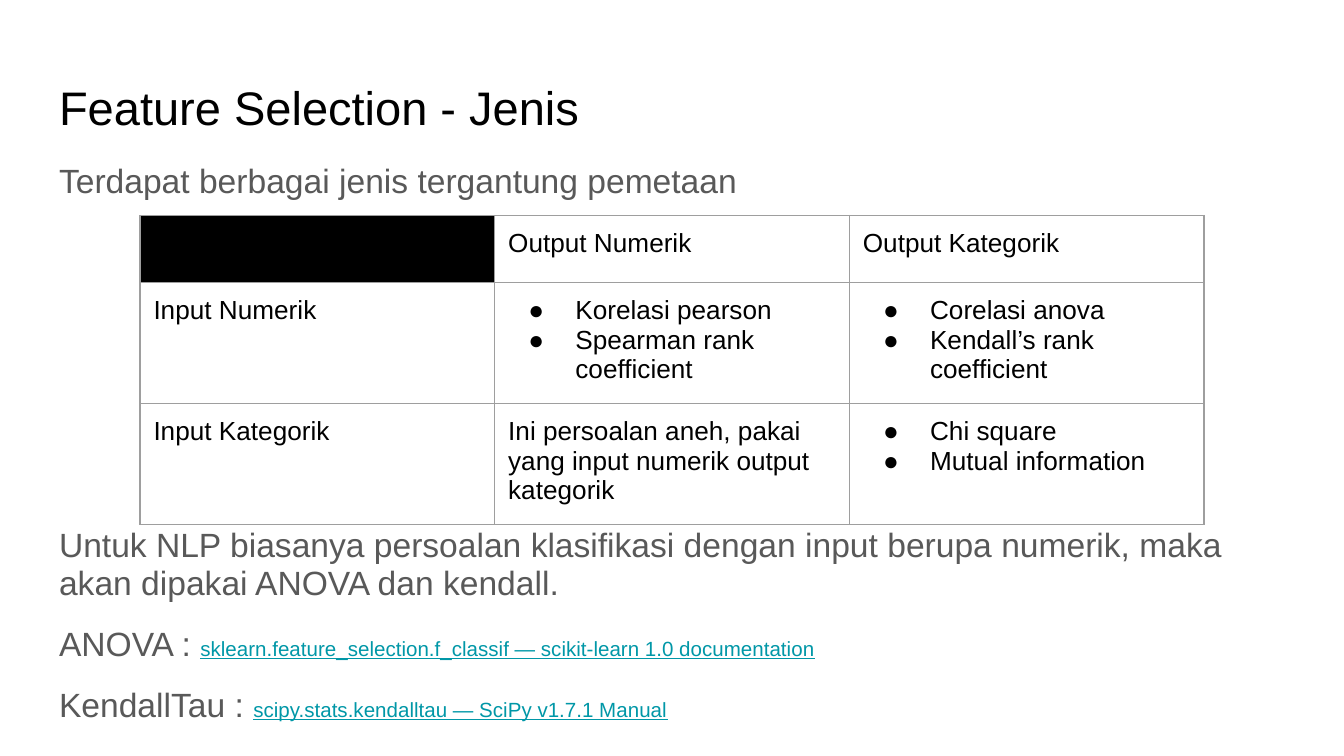
from lxml.etree import SubElement
from pptx import Presentation
from pptx.dml.color import RGBColor
from pptx.oxml.ns import qn
from pptx.util import Emu, Inches, Pt

WIDTH = Inches(10)
HEIGHT = Emu(WIDTH * 9 // 16)
BLACK, GREY, TEAL, BORDER = "000000", "595959", "0097A7", "9E9E9E"
MARGIN, TEXT_WIDTH = 3.41, 93.2
ROW_HEIGHT, COLUMN_WIDTH = 7.5, 26.39
PARAGRAPH_GAP, TABLE_GAP = 12, 174.5
CELLS = [
    [[], ["Output Numerik"], ["Output Kategorik"]],
    [
        ["Input Numerik"],
        ["Korelasi pearson", "Spearman rank coefficient"],
        ["Corelasi anova", "Kendall’s rank coefficient"],
    ],
    [
        ["Input Kategorik"],
        ["Ini persoalan aneh, pakai yang input numerik output kategorik"],
        ["Chi square", "Mutual information"],
    ],
]
TITLE = [(0, [("Feature Selection - Jenis", 25.2, BLACK)])]
BODY = [
    (0, [("Terdapat berbagai jenis tergantung pemetaan", 18, GREY)]),
    (TABLE_GAP, [(
        "Untuk NLP biasanya persoalan klasifikasi dengan input berupa numerik, "
        "maka akan dipakai ANOVA dan kendall.", 18, GREY,
    )]),
    (PARAGRAPH_GAP, [
        ("ANOVA : ", 18, GREY),
        ("sklearn.feature_selection.f_classif — scikit-learn 1.0 documentation", 11, TEAL, True),
    ]),
    (PARAGRAPH_GAP, [
        ("KendallTau : ", 18, GREY),
        ("scipy.stats.kendalltau — SciPy v1.7.1 Manual", 11, TEAL, True),
    ]),
]


def across(percent):
    return Emu(round(WIDTH * percent / 100))


def down(percent):
    return Emu(round(HEIGHT * percent / 100))


def color(value):
    return RGBColor.from_string(value)


def set_margins(holder):
    holder.margin_left = holder.margin_right = Inches(0.1)
    holder.margin_top = holder.margin_bottom = Inches(0.1)


def add_run(paragraph, text, size, value, underline=False):
    run = paragraph.add_run()
    run.text = text
    run.font.name = "Arial"
    run.font.size = Pt(size)
    run.font.color.rgb = color(value)
    if underline:
        run.font.underline = True


def next_paragraph(frame, index):
    return frame.add_paragraph() if index else frame.paragraphs[0]


def add_text(slide, top, height, paragraphs, line_spacing=1.0):
    box = slide.shapes.add_textbox(
        across(MARGIN), down(top), across(TEXT_WIDTH), down(height)
    )
    frame = box.text_frame
    frame.word_wrap = True
    set_margins(frame)
    for index, (gap, runs) in enumerate(paragraphs):
        paragraph = next_paragraph(frame, index)
        paragraph.line_spacing = line_spacing
        paragraph.space_before = Pt(gap)
        for run in runs:
            add_run(paragraph, *run)


def add_bullet(paragraph):
    properties = paragraph._p.get_or_add_pPr()
    properties.set("marL", str(Inches(0.5)))
    properties.set("indent", str(Inches(-0.35)))
    bullet_color = SubElement(properties, qn("a:buClr"))
    SubElement(bullet_color, qn("a:srgbClr"), val=BLACK)
    SubElement(properties, qn("a:buFont"), typeface="Arial")
    SubElement(properties, qn("a:buChar"), char="●")


def set_borders(cell):
    properties = cell._tc.get_or_add_tcPr()
    for position, side in enumerate(("lnL", "lnR", "lnT", "lnB")):
        line = SubElement(properties, qn(f"a:{side}"), w=str(Pt(0.75)))
        fill = SubElement(line, qn("a:solidFill"))
        SubElement(fill, qn("a:srgbClr"), val=BORDER)
        properties.insert(position, line)


def fill_cell(cell, lines):
    set_margins(cell)
    if lines:
        cell.fill.background()
    else:
        cell.fill.solid()
        cell.fill.fore_color.rgb = color(BLACK)
    set_borders(cell)
    for index, text in enumerate(lines):
        paragraph = next_paragraph(cell.text_frame, index)
        if len(lines) > 1:
            add_bullet(paragraph)
        add_run(paragraph, text, 14, BLACK)


def add_mapping_table(slide):
    rows, columns = len(CELLS), len(CELLS[0])
    table = slide.shapes.add_table(
        rows, columns, across(10.42), down(28.5),
        across(COLUMN_WIDTH * columns), down(ROW_HEIGHT * rows),
    ).table
    table.first_row = False
    table.horz_banding = False
    for column in table.columns:
        column.width = across(COLUMN_WIDTH)
    for row_index, cells in enumerate(CELLS):
        table.rows[row_index].height = down(ROW_HEIGHT)
        for column_index, lines in enumerate(cells):
            fill_cell(table.cell(row_index, column_index), lines)


def main():
    presentation = Presentation()
    presentation.slide_width, presentation.slide_height = WIDTH, HEIGHT
    slide = presentation.slides.add_slide(presentation.slide_layouts[6])
    add_text(slide, 8.6, 11.2, TITLE)
    add_text(slide, 19.75, 78.9, BODY, 0.95)
    add_mapping_table(slide)
    presentation.save("out.pptx")


if __name__ == "__main__":
    main()
